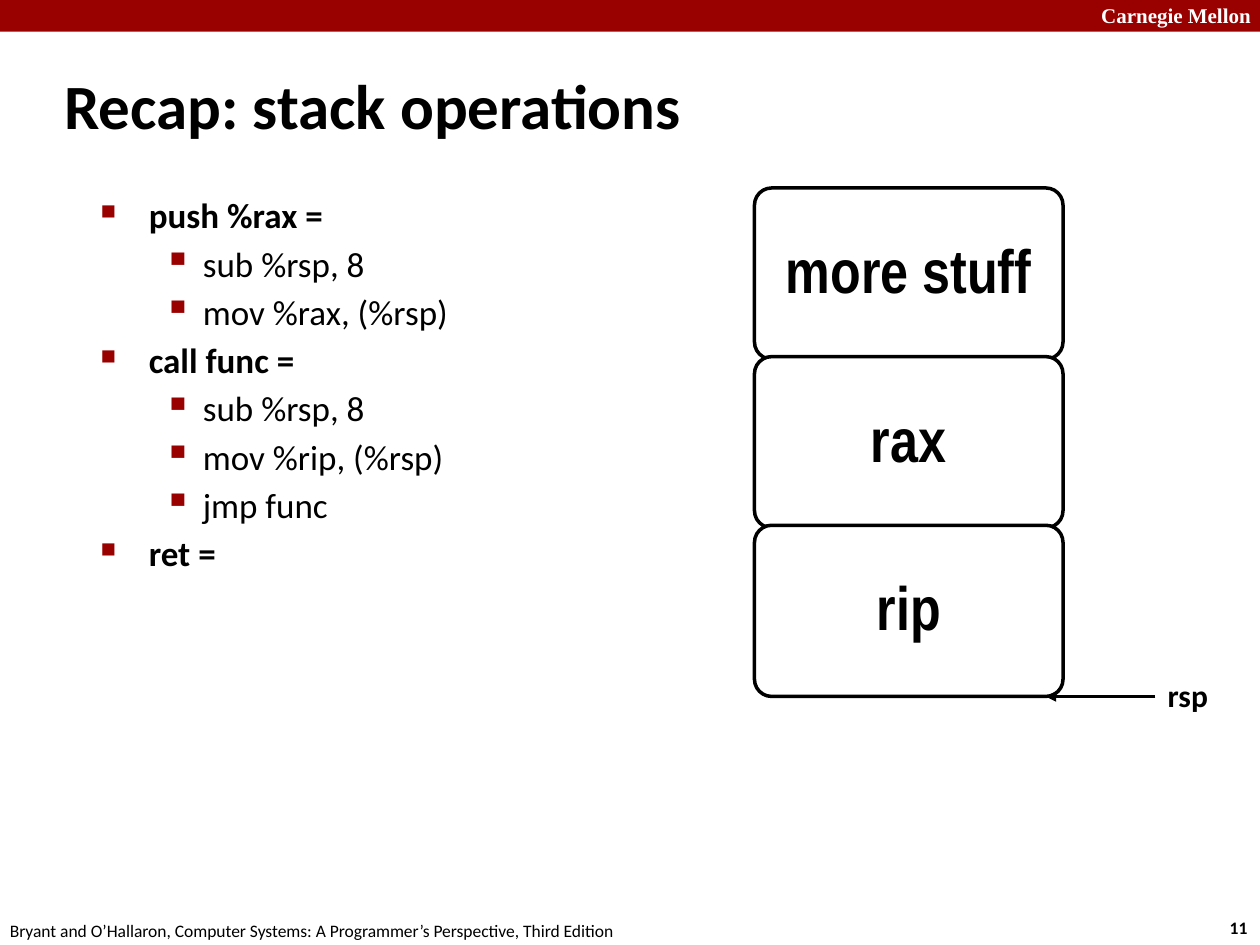
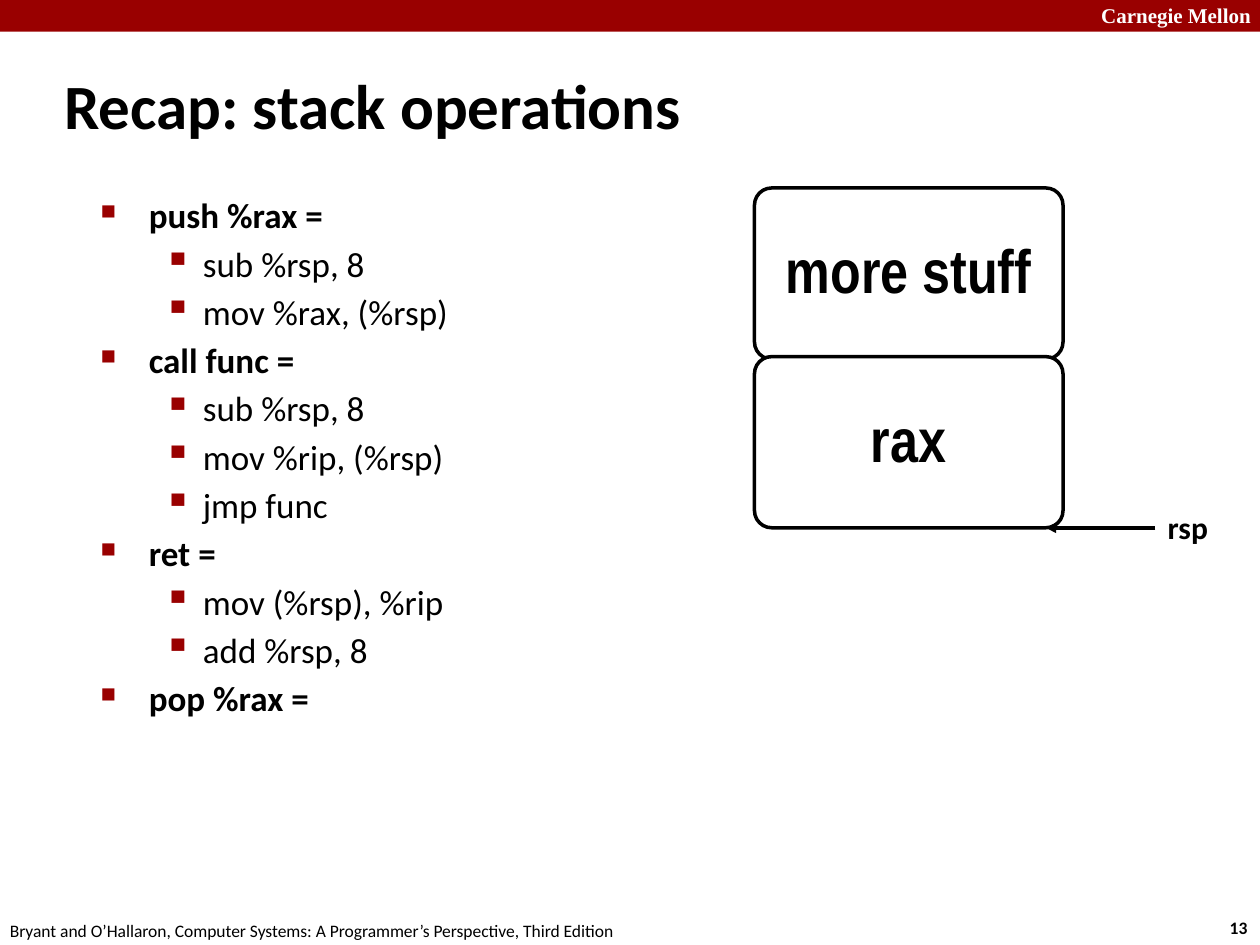
from lxml import etree
from pptx import Presentation
from pptx.dml.color import RGBColor
from pptx.enum.shapes import MSO_CONNECTOR, MSO_SHAPE
from pptx.enum.text import MSO_ANCHOR, MSO_AUTO_SIZE, PP_ALIGN
from pptx.oxml.ns import qn
from pptx.util import Cm, Pt

RECTANGLE = MSO_SHAPE.RECTANGLE
ROUNDED = MSO_SHAPE.ROUNDED_RECTANGLE
STRAIGHT = MSO_CONNECTOR.STRAIGHT
MIDDLE = MSO_ANCHOR.MIDDLE
LEFT, CENTER = PP_ALIGN.LEFT, PP_ALIGN.CENTER
NO_FIT, GROW = MSO_AUTO_SIZE.NONE, MSO_AUTO_SIZE.SHAPE_TO_FIT_TEXT

COLOURS = {"red": "990000", "black": "000000", "white": "FFFFFF"}
SANS, NARROW, SERIF = "Calibri", "Arial Narrow", "Times New Roman"
TITLE_ONLY = 5

SLIDE_WIDTH, SLIDE_HEIGHT = 25.4, 19.05
FOOTER = ("Bryant and O’Hallaron, Computer Systems: "
          "A Programmer’s Perspective, Third Edition")

# Per outline level: bullet, bullet size in %, text margin, hanging indent
LEVELS = [("■", 60, 0.97, 0.97), ("▪", 110, 2.06, 0.79)]

# Stack frames, in cm
FRAME_LEFT, FRAME_TOP = 15.21, 3.79
FRAME_WIDTH, FRAME_HEIGHT, FRAME_STEP = 6.22, 3.45, 3.4
POINTER_START, POINTER_END = 23.29, 21.08

# Instructions, each with the steps it stands for
PUSH = ("push %rax =", ["sub %rsp, 8", "mov %rax, (%rsp)"])
CALL = ("call func =", ["sub %rsp, 8", "mov %rip, (%rsp)", "jmp func"])
RET_STEPS = ["mov (%rsp), %rip", "add %rsp, 8"]

SLIDES = [
    ("11", [PUSH, CALL, ("ret =", [])], ["more stuff", "rax", "rip"]),
    ("13", [PUSH, CALL, ("ret =", RET_STEPS), ("pop %rax =", [])],
     ["more stuff", "rax"]),
]


def colour(name):
    return RGBColor.from_string(COLOURS[name])


class Deck:
    """Holds the shared style and the slide being built."""

    def __init__(self):
        self.presentation = Presentation()
        self.presentation.slide_width = Cm(SLIDE_WIDTH)
        self.presentation.slide_height = Cm(SLIDE_HEIGHT)
        self.slide = None

    def new_slide(self, title, number):
        layout = self.presentation.slide_layouts[TITLE_ONLY]
        self.slide = self.presentation.slides.add_slide(layout)
        # Band and footer
        self.shape(RECTANGLE, 0, 0, SLIDE_WIDTH, 0.64, "red")
        self.label("Carnegie Mellon", 21.95, -0.08, 3.63, 0.76, 12,
                   font=SERIF, ink="white")
        self.label(number, 24.54, 18.36, 0.94, 0.69, 10)
        self.label(FOOTER, -0.05, 18.42, 12.9, 0.69, 10, bold=False)
        # Title
        holder = self.slide.shapes.title
        holder.left, holder.top = Cm(1.04), Cm(1.04)
        holder.width, holder.height = Cm(21.08), Cm(2.11)
        frame = holder.text_frame
        frame.auto_size = NO_FIT
        frame.vertical_anchor = MIDDLE
        frame.paragraphs[0].alignment = LEFT
        self.run(frame.paragraphs[0], title, 36)

    def run(self, paragraph, text, size, font=SANS, ink="black", bold=True):
        run = paragraph.add_run()
        run.text = text
        run.font.name, run.font.size, run.font.bold = font, Pt(size), bold
        run.font.color.rgb = colour(ink)

    def shape(self, kind, left, top, width, height, fill, line=None):
        shape = self.slide.shapes.add_shape(
            kind, Cm(left), Cm(top), Cm(width), Cm(height))
        shape.shadow.inherit = False
        shape.fill.solid()
        shape.fill.fore_color.rgb = colour(fill)
        if line:
            shape.line.color.rgb = colour(line)
            shape.line.width = Pt(2)
        else:
            shape.line.fill.background()
        return shape

    def label(self, text, left, top, width, height, size, **style):
        box = self.slide.shapes.add_textbox(
            Cm(left), Cm(top), Cm(width), Cm(height))
        box.text_frame.word_wrap = False
        box.text_frame.auto_size = GROW
        self.run(box.text_frame.paragraphs[0], text, size, **style)

    def bullet(self, paragraph, level):
        character, percent, margin, hanging = LEVELS[level]
        paragraph.level = level
        properties = paragraph._p.get_or_add_pPr()
        properties.set("marL", str(Cm(margin)))
        properties.set("indent", str(-Cm(hanging)))
        bullet_colour = etree.SubElement(properties, qn("a:buClr"))
        etree.SubElement(bullet_colour, qn("a:srgbClr"), val=COLOURS["red"])
        etree.SubElement(properties, qn("a:buSzPct"), val=str(percent * 1000))
        etree.SubElement(properties, qn("a:buChar"), char=character)

    def outline(self, instructions):
        box = self.slide.shapes.add_textbox(
            Cm(1.78), Cm(3.78), Cm(10.74), Cm(13.82))
        frame = box.text_frame
        frame.word_wrap = True
        lines = [(level, text) for name, steps in instructions
                 for level, text in [(0, name)] + [(1, s) for s in steps]]
        for index, (level, text) in enumerate(lines):
            paragraph = frame.add_paragraph() if index else frame.paragraphs[0]
            self.bullet(paragraph, level)
            if index:
                paragraph.space_before = Pt(3.6)
            self.run(paragraph, text, 20, bold=level == 0)

    def stack_frame(self, text, top):
        shape = self.shape(ROUNDED, FRAME_LEFT, top, FRAME_WIDTH,
                           FRAME_HEIGHT, "white", "black")
        shape.adjustments[0] = 0.1
        frame = shape.text_frame
        frame.word_wrap = True
        frame.vertical_anchor = MIDDLE
        frame.margin_left = frame.margin_right = Cm(0.48)
        frame.margin_top = frame.margin_bottom = Cm(0.48)
        paragraph = frame.paragraphs[0]
        paragraph.alignment = CENTER
        paragraph.line_spacing = 0.9
        self.run(paragraph, text, 35, font=NARROW)

    def arrow(self, start, end, y):
        connector = self.slide.shapes.add_connector(
            STRAIGHT, Cm(start), Cm(y), Cm(end), Cm(y))
        connector.line.color.rgb = colour("black")
        connector.line.width = Pt(2)
        etree.SubElement(connector.line._get_or_add_ln(), qn("a:tailEnd"),
                         type="triangle")
        etree.SubElement(connector._element.spPr, qn("a:effectLst"))

    def stack(self, names):
        for index, name in enumerate(names):
            self.stack_frame(name, FRAME_TOP + index * FRAME_STEP)
        # The stack pointer marks the bottom edge of the last frame
        bottom = FRAME_TOP + (len(names) - 1) * FRAME_STEP + FRAME_HEIGHT
        self.label("rsp", POINTER_START, bottom - 0.53, 1.32, 1.02, 18)
        self.arrow(POINTER_START, POINTER_END, bottom)


def main():
    deck = Deck()
    for number, instructions, names in SLIDES:
        deck.new_slide("Recap: stack operations", number)
        deck.outline(instructions)
        deck.stack(names)
    deck.presentation.save("out.pptx")


if __name__ == "__main__":
    main()
